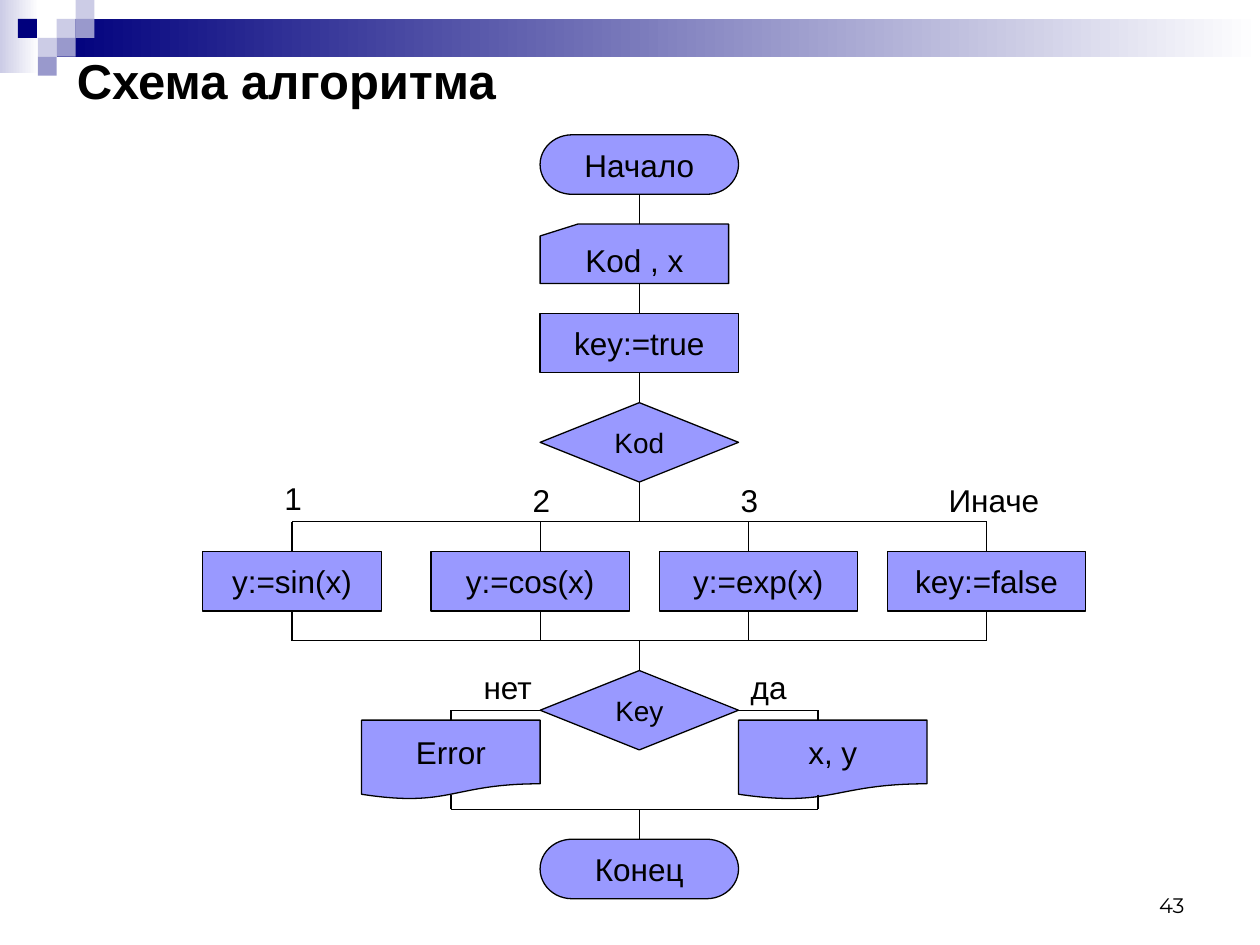
import pptx
import pptx.dml.color
import pptx.enum.shapes
import pptx.enum.text
import pptx.util
import lxml.etree

SHAPE = pptx.enum.shapes.MSO_SHAPE
ALIGN = pptx.enum.text.PP_ALIGN
ANCHOR = pptx.enum.text.MSO_ANCHOR
FIT = pptx.enum.text.MSO_AUTO_SIZE
inch = pptx.util.Inches

COLORS = {
    "ink": "000000",
    "block": "9999FF",
    "navy": "00007D",
    "pale": "CCCCE6",
    "mid": "9999CC",
    "paper": "FFFFFF",
}
STEP = pptx.util.Mm(2)
LEFT, TOP = inch(1.61), inch(1.07)
AXIS, SPINE, WIDE, TALL = 44, 34, 20, 6
FORK, MERGE, CASES = 39, 51, 42
TOP_SIDE, LEFT_SIDE, BOTTOM_SIDE, RIGHT_SIDE = range(4)


def color(name):
    return pptx.dml.color.RGBColor.from_string(COLORS[name])


def cell(col, row):
    return LEFT + round(col * STEP), TOP + round(row * STEP)


def write(frame, words, size=18, font="Arial", bold=False, align=ALIGN.LEFT,
          anchor=ANCHOR.TOP, wrap=False):
    frame.text = words
    frame.word_wrap = wrap
    frame.auto_size = FIT.NONE
    frame.vertical_anchor = anchor
    paragraph = frame.paragraphs[0]
    paragraph.alignment = align
    letters = paragraph.runs[0].font
    letters.name = font
    letters.size = pptx.util.Pt(size)
    letters.bold = bold
    letters.color.rgb = color("ink")


def block(slide, kind, words, col, row, width=WIDE, height=TALL, size=18):
    step = slide.shapes.add_shape(
        kind, *cell(col, row), width * STEP, height * STEP)
    step.shadow.inherit = False
    step.fill.solid()
    step.fill.fore_color.rgb = color("block")
    step.line.color.rgb = color("ink")
    step.line.width = pptx.util.Pt(0.75)
    write(step.text_frame, words, size=size, align=ALIGN.CENTER,
          anchor=ANCHOR.MIDDLE)
    return step


def link(slide, start, end, leaves=None, enters=None):
    flow = slide.shapes.add_connector(
        pptx.enum.shapes.MSO_CONNECTOR.STRAIGHT, *cell(*start), *cell(*end))
    flow.line.color.rgb = color("ink")
    flow.line.width = pptx.util.Pt(0.75)
    lxml.etree.SubElement(flow._element.spPr, pptx.oxml.ns.qn("a:effectLst"))
    if leaves:
        flow.begin_connect(*leaves)
    if enters:
        flow.end_connect(*enters)


def label(slide, words, left, top, width):
    caption = slide.shapes.add_textbox(
        inch(left), inch(top), inch(width), inch(0.4))
    write(caption.text_frame, words)


def tile(slide, left, top, width, height, *shades):
    piece = slide.shapes.add_shape(
        SHAPE.RECTANGLE, inch(left), inch(top), inch(width), inch(height))
    piece.shadow.inherit = False
    piece.line.fill.background()
    if len(shades) == 1:
        piece.fill.solid()
        piece.fill.fore_color.rgb = color(shades[0])
        return
    piece.fill.gradient()
    piece.fill.gradient_angle = 0
    for stop, shade in zip(piece.fill.gradient_stops, shades):
        stop.color.rgb = color(shade)


def draw_header(slide):
    tile(slide, 0, 0, 0.31, 0.58, "pale", "paper")
    tile(slide, 0.45, 0.15, 9.55, 0.3, "navy", "paper")
    mosaic = [(3, 1, "pale"), (4, 0, "pale"), (4, 1, "mid"), (2, 2, "pale"),
              (0.95, 1, "navy"), (3, 2, "mid"), (2, 3, "mid")]
    for col, row, shade in mosaic:
        tile(slide, col * 0.15, row * 0.15, 0.15, 0.15, shade)


def draw_opening(slide):
    start = block(slide, SHAPE.FLOWCHART_TERMINATOR, "Начало", SPINE, 0)
    block(slide, SHAPE.FLOWCHART_CARD, "Kod , x", SPINE, 9, width=19)
    assign = block(slide, SHAPE.RECTANGLE, "key:=true", SPINE, 18)
    choice = block(slide, SHAPE.DIAMOND, "Kod", SPINE, 27, height=8, size=16)
    link(slide, (AXIS, 6), (AXIS, 9), leaves=(start, BOTTOM_SIDE))
    link(slide, (AXIS, 15), (AXIS, 18), enters=(assign, TOP_SIDE))
    link(slide, (AXIS, 24), (AXIS, 27), (assign, BOTTOM_SIDE),
         (choice, TOP_SIDE))
    link(slide, (AXIS, 35), (AXIS, FORK), leaves=(choice, BOTTOM_SIDE))


def draw_cases(slide):
    cases = [("y:=sin(x)", 18, 9), ("y:=cos(x)", WIDE, 34),
             ("y:=exp(x)", WIDE, 55), ("key:=false", WIDE, 79)]
    for index, (words, width, stub) in enumerate(cases):
        col = index * 23
        case = block(slide, SHAPE.RECTANGLE, words, col, CASES, width=width)
        centred = stub == col + width / 2
        link(slide, (stub, FORK), (stub, CASES),
             enters=(case, TOP_SIDE) if centred else None)
        link(slide, (stub, CASES + TALL), (stub, MERGE),
             leaves=(case, BOTTOM_SIDE) if centred else None)
    for row in (FORK, MERGE):
        link(slide, (cases[0][2], row), (cases[-1][2], row))
    label(slide, "1", 2.16, 3.75, 0.37)
    label(slide, "2", 4.13, 3.77, 0.37)
    label(slide, "3", 5.78, 3.77, 0.37)
    label(slide, "Иначе", 7.43, 3.77, 0.96)


def draw_ending(slide):
    check = block(slide, SHAPE.DIAMOND, "Key", SPINE, 54, height=8, size=16)
    error = block(slide, SHAPE.FLOWCHART_DOCUMENT, "Error", 16, 59,
                  width=18, height=8)
    block(slide, SHAPE.FLOWCHART_DOCUMENT, "x, y", 54, 59, width=19, height=8)
    finish = block(slide, SHAPE.FLOWCHART_TERMINATOR, "Конец", SPINE, 71)
    no, yes = 25, 62
    link(slide, (AXIS, MERGE), (AXIS, 54), enters=(check, TOP_SIDE))
    link(slide, (SPINE, 58), (no, 58), leaves=(check, LEFT_SIDE))
    link(slide, (SPINE + WIDE, 58), (yes, 58), leaves=(check, RIGHT_SIDE))
    link(slide, (no, 58), (no, 59), enters=(error, TOP_SIDE))
    link(slide, (yes, 58), (yes, 59))
    for col in (no, yes):
        link(slide, (col, 66.5), (col, 68))
    link(slide, (no, 68), (yes, 68))
    link(slide, (AXIS, 68), (AXIS, 71), enters=(finish, TOP_SIDE))
    label(slide, "нет", 3.74, 5.25, 0.63)
    label(slide, "да", 5.86, 5.25, 0.54)


def main():
    deck = pptx.Presentation()
    deck.slide_width, deck.slide_height = inch(10), inch(7.5)
    slide = deck.slides.add_slide(deck.slide_layouts[5])
    draw_header(slide)
    title = slide.shapes.title
    title.left, title.top = inch(0.51), inch(0.44)
    title.width, title.height = inch(9.49), inch(0.39)
    write(title.text_frame, "Схема алгоритма", size=28, bold=True,
          anchor=ANCHOR.MIDDLE, wrap=True)
    draw_opening(slide)
    draw_cases(slide)
    draw_ending(slide)
    number = slide.shapes.add_textbox(
        inch(7.17), inch(6.83), inch(2.33), inch(0.5))
    write(number.text_frame, "43", size=12, font="Montserrat",
          align=ALIGN.RIGHT, anchor=ANCHOR.BOTTOM, wrap=True)
    deck.save("out.pptx")


if __name__ == "__main__":
    main()
